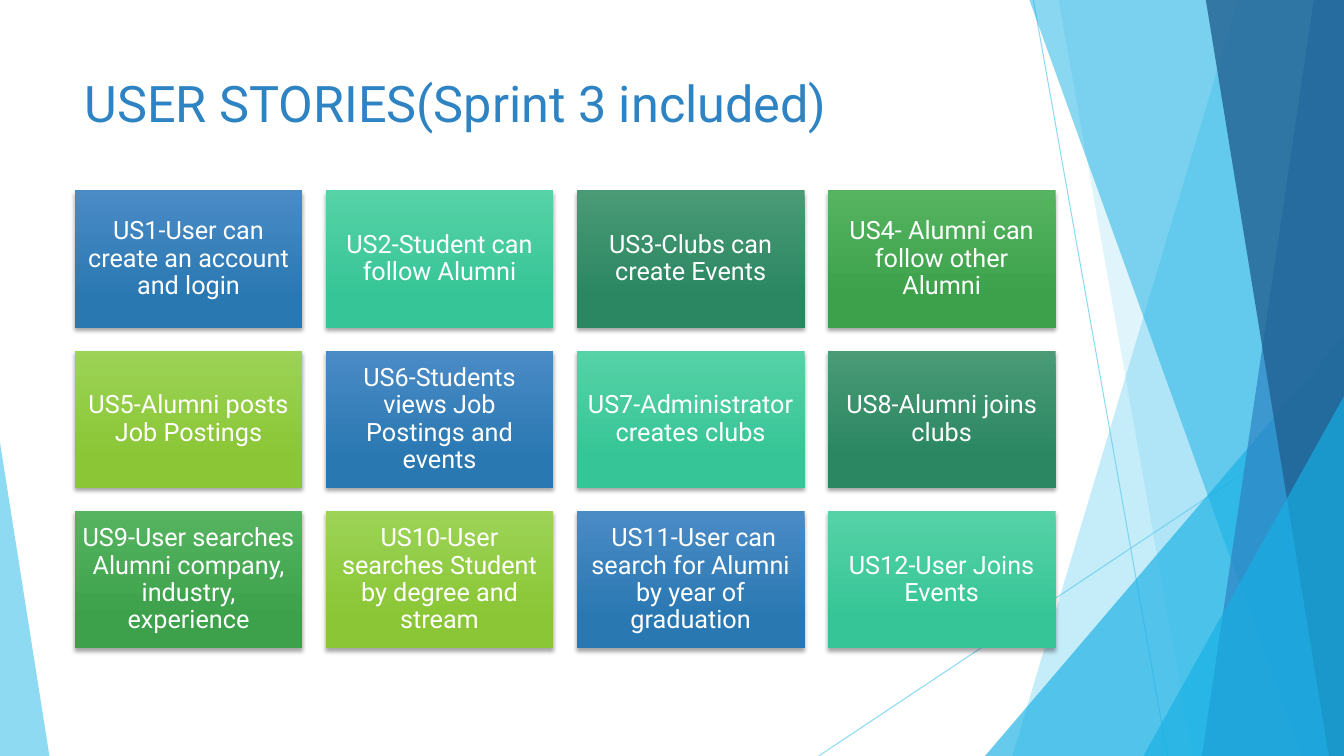
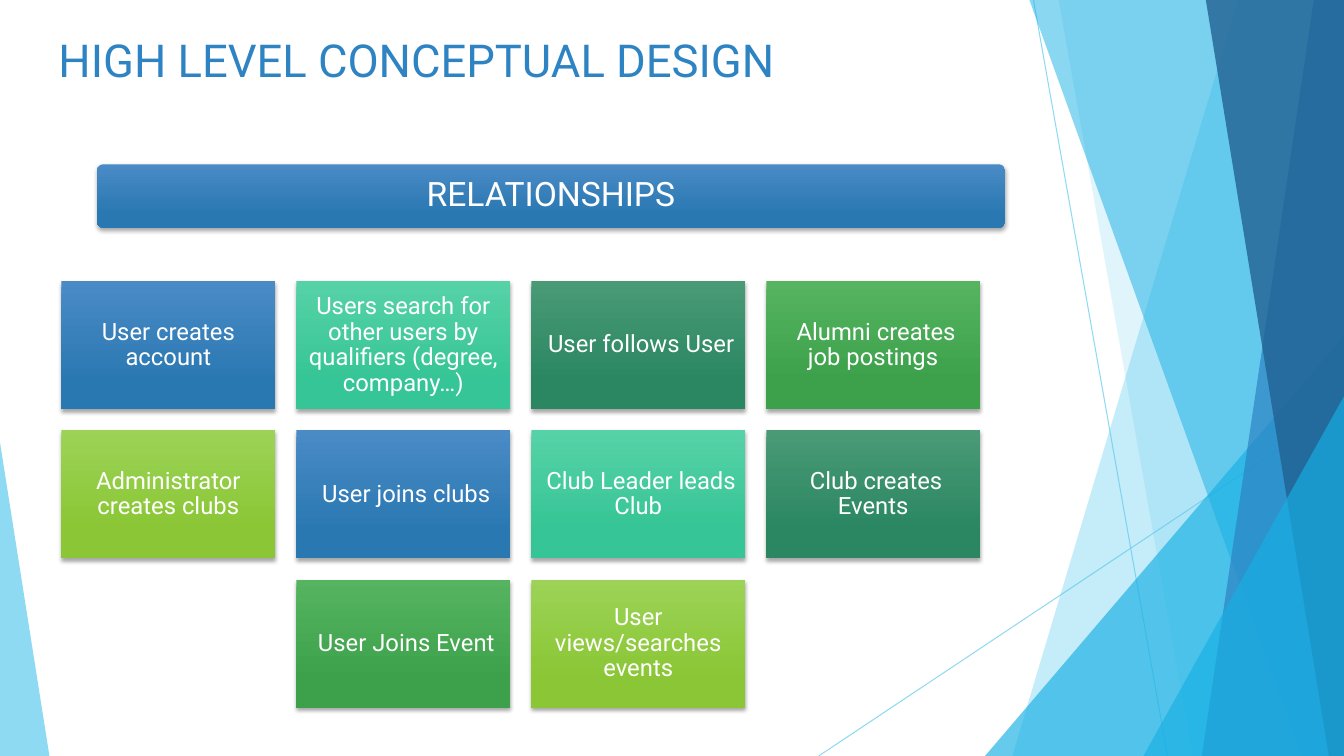
import dataclasses

import lxml.etree
import pptx
import pptx.dml.color
import pptx.enum.shapes
import pptx.enum.text
import pptx.oxml.ns
import pptx.util

Inches = pptx.util.Inches
Pt = pptx.util.Pt
Kind = pptx.enum.shapes.MSO_SHAPE
Align = pptx.enum.text.PP_ALIGN
Anchor = pptx.enum.text.MSO_ANCHOR


# Theme: colours and type sizes
@dataclasses.dataclass(frozen=True)
class Theme:
    font: str = "Roboto"
    sky: str = "5FCBEF"
    cyan: str = "17B0E4"
    blue: str = "2E83C3"
    navy: str = "226292"
    white: str = "FFFFFF"
    shade: str = "000000"
    tiles: tuple = (("4A8BC6", "2A78B2"), ("56D2A7", "36C596"),
                    ("4A9A76", "2A8762"), ("56B461", "3CA14A"),
                    ("9CD356", "8AC635"))
    title: float = 36
    small: float = 32.4
    head: float = 24
    story: float = 18
    link: float = 17


# Helpers
def rgb(code):
    return pptx.dml.color.RGBColor.from_string(code)


def put(item, **fmt):
    for name, value in fmt.items():
        setattr(item, name, value)


def sub(node, tag, **attrs):
    child = lxml.etree.SubElement(node, pptx.oxml.ns.qn(tag))
    for name, value in attrs.items():
        child.set(name, str(value))
    return child


def fade(shape, alpha):
    for node in shape.element.xpath("./p:spPr//a:srgbClr"):
        sub(node, "a:alpha", val=alpha * 1000)


class Deck:
    wide, high = 13.33, 7.5

    def __init__(self, theme):
        self.theme = theme
        self.prs = pptx.Presentation()
        put(self.prs, slide_width=Inches(self.wide),
            slide_height=Inches(self.high))
        self.slide = None

    def page(self):
        self.slide = self.prs.slides.add_slide(self.prs.slide_layouts[5])

    def label(self, frame, text, size, color, **fmt):
        para = frame.paragraphs[0]
        para.text = text
        put(para, **fmt)
        put(para.font, name=self.theme.font, size=Pt(size))
        para.font.color.rgb = rgb(color)

    def title(self, text, size, left, top, high):
        box = self.slide.shapes.title
        put(box, left=Inches(left), top=Inches(top),
            width=Inches(9.4), height=Inches(high))
        put(box.text_frame, word_wrap=True, vertical_anchor=Anchor.TOP,
            auto_size=pptx.enum.text.MSO_AUTO_SIZE.NONE)
        self.label(box.text_frame, text, size, self.theme.blue,
                   alignment=Align.LEFT)

    # Backdrop pieces
    def tint(self, shape, color, alpha):
        shape.shadow.inherit = False
        shape.fill.solid()
        shape.fill.fore_color.rgb = rgb(color)
        shape.line.fill.background()
        fade(shape, alpha)

    def line(self, start, end, color, alpha):
        wire = self.slide.shapes.add_connector(
            pptx.enum.shapes.MSO_CONNECTOR.STRAIGHT,
            *map(Inches, start + end))
        wire.line.width = Pt(0.75)
        wire.line.color.rgb = rgb(color)
        fade(wire, alpha)
        sub(wire.element.spPr, "a:effectLst")

    def wedge(self, top, foot, color, alpha):
        """Fill from a slanted left edge to the right side of the slide."""
        spots = [(top, 0), (self.wide, 0), (self.wide, self.high),
                 (foot, self.high)]
        spots = [(Inches(x), Inches(y)) for x, y in spots]
        form = self.slide.shapes.build_freeform(*spots[0])
        form.add_line_segments(spots[1:], close=True)
        self.tint(form.convert_to_shape(), color, alpha)

    def peak(self, left, top, wide, tip, color, alpha):
        shape = self.slide.shapes.add_shape(
            Kind.ISOSCELES_TRIANGLE, Inches(left), Inches(top),
            Inches(wide), Inches(self.high - top))
        shape.adjustments[0] = tip
        self.tint(shape, color, alpha)

    def share(self):
        """Move the drawn pieces to the master, behind its placeholders."""
        tree = self.prs.slide_master.shapes.element
        parts = [s for s in self.slide.shapes if not s.is_placeholder]
        for num, part in enumerate(parts):
            part.element.xpath(".//p:cNvPr")[0].set("id", str(100 + num))
            tree.insert(2 + num, part.element)

    # Tiles
    def tile(self, text, size, box, pair, inset=0.07, kind=Kind.RECTANGLE):
        shape = self.slide.shapes.add_shape(kind, *map(Inches, box))
        if kind == Kind.ROUNDED_RECTANGLE:
            shape.adjustments[0] = 0.1
        shape.line.fill.background()
        shape.fill.gradient()
        shape.fill.gradient_angle = 270
        for stop, code, spot in zip(shape.fill.gradient_stops, pair, (0, 0.78)):
            stop.color.rgb = rgb(code)
            stop.position = spot
        shape.shadow.inherit = False
        glow = shape.element.xpath("./p:spPr/a:effectLst")[0]
        drop = sub(glow, "a:outerShdw", blurRad=Pt(3), dist=Pt(2),
                   dir=5400000, algn="ctr", rotWithShape=0)
        tone = sub(drop, "a:srgbClr", val=self.theme.shade)
        sub(tone, "a:alpha", val=35000)
        frame = shape.text_frame
        put(frame, word_wrap=True, vertical_anchor=Anchor.MIDDLE)
        put(frame, **{"margin_" + side: Inches(inset)
                      for side in ("left", "top", "right", "bottom")})
        self.label(frame, text, size, self.theme.white,
                   alignment=Align.CENTER, line_spacing=0.9)

    def grid(self, texts, size, left, top, wide, high, gap, cols=4):
        """Rows of tiles in cycling colours; a short last row is centred."""
        pairs = self.theme.tiles
        for num, text in enumerate(texts):
            row, col = divmod(num, cols)
            count = min(cols, len(texts) - row * cols)
            col += (cols - count) / 2
            box = (left + col * (wide + gap), top + row * (high + gap),
                   wide, high)
            self.tile(text, size, box, pairs[num % len(pairs)])


def back(deck):
    look = deck.theme
    deck.line((10.25, 0), (11.58, 7.5), look.sky, 70)
    deck.line((13.33, 4.03), (8.12, 7.5), look.sky, 70)
    deck.wedge(12.28, 10.04, look.sky, 36)
    deck.wedge(10.5, 11.83, look.sky, 20)
    deck.peak(9.77, 3.33, 3.56, 1, look.cyan, 66)
    deck.wedge(10.21, 12.91, look.cyan, 50)
    deck.wedge(13.03, 11.92, look.blue, 70)
    deck.wedge(11.96, 13.18, look.navy, 80)
    deck.peak(11.34, 3.93, 1.99, 1, look.cyan, 66)
    deck.peak(0, 4.39, 0.49, 0, look.sky, 70)
    deck.share()


STORIES = [
    "US1-User can create an account and login",
    "US2-Student can follow Alumni",
    "US3-Clubs can create Events",
    "US4- Alumni can follow other Alumni",
    "US5-Alumni posts Job Postings",
    "US6-Students views Job Postings and events",
    "US7-Administrator creates clubs",
    "US8-Alumni joins clubs",
    "US9-User searches Alumni company, industry, experience",
    "US10-User searches Student by degree and stream",
    " US11-User can search for Alumni by year of graduation",
    "US12-User Joins Events",
]

LINKS = [
    "User creates account",
    "Users search for other users by qualifiers (degree, company…)",
    " User follows User",
    " Alumni creates job postings",
    "Administrator creates clubs",
    " User joins clubs",
    " Club Leader leads Club",
    " Club creates Events",
    " User Joins Event",
    "User views/searches events",
]


def main():
    look = Theme()
    deck = Deck(look)

    # User stories
    deck.page()
    back(deck)
    deck.title("USER STORIES(Sprint 3 included)", look.title, 0.74, 0.67, 0.79)
    deck.grid(STORIES, look.story, 0.74, 1.89, 2.26, 1.36, 0.23)

    # Conceptual design
    deck.page()
    deck.title("HIGH LEVEL CONCEPTUAL DESIGN", look.small, 0.48, 0.27, 0.62)
    deck.grid(LINKS, look.link, 0.61, 2.79, 2.12, 1.27, 0.21)
    deck.tile("RELATIONSHIPS", look.head, (0.96, 1.63, 9.01, 0.63),
              look.tiles[0], 0.1, Kind.ROUNDED_RECTANGLE)

    deck.prs.save("out.pptx")


if __name__ == "__main__":
    main()
